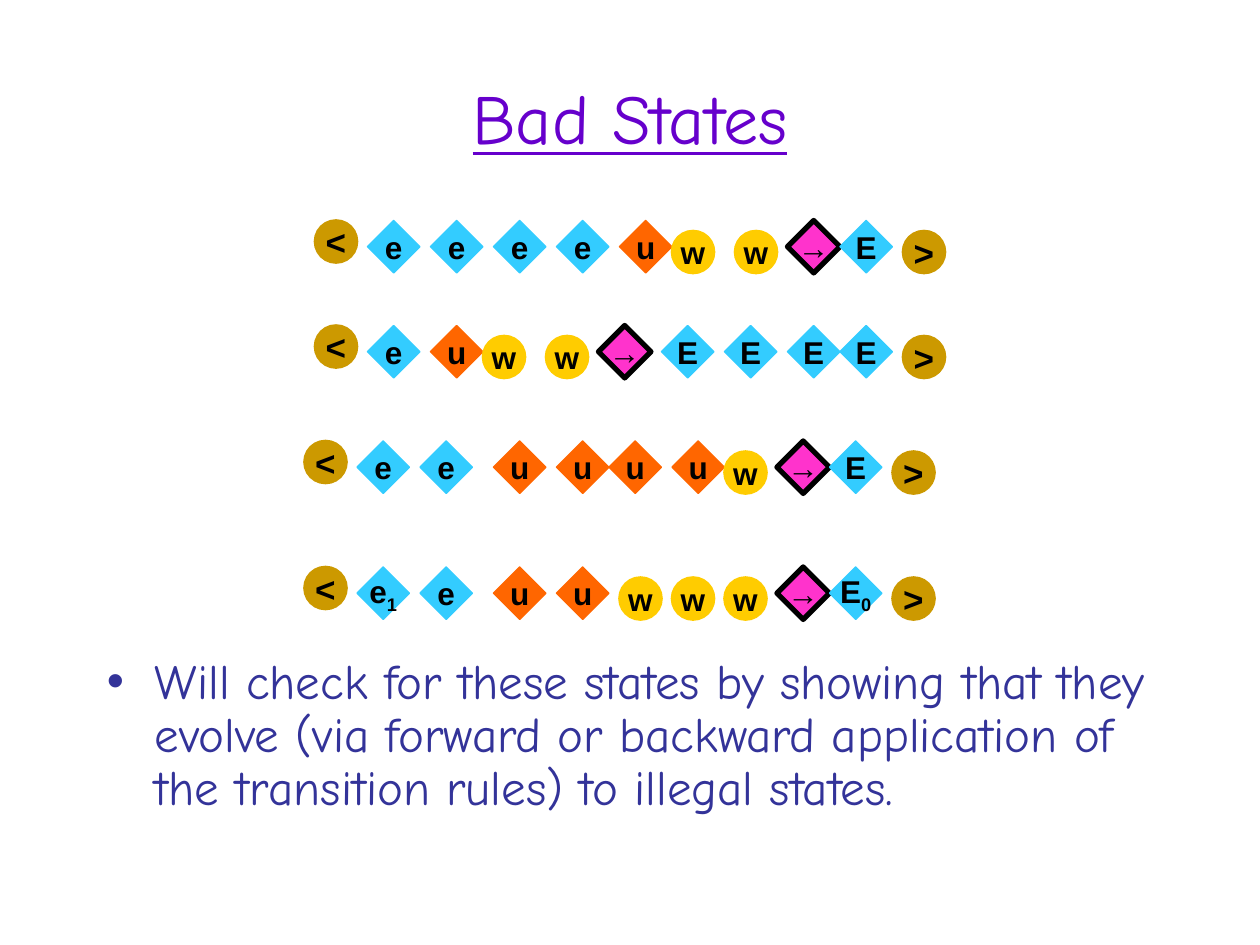
from dataclasses import dataclass

from lxml.etree import SubElement
from pptx import Presentation
from pptx.dml.color import RGBColor
from pptx.enum.shapes import MSO_SHAPE
from pptx.enum.text import MSO_ANCHOR, PP_ALIGN
from pptx.oxml.ns import qn
from pptx.util import Inches, Pt


@dataclass(frozen=True)
class Theme:
    heading_font: str = "Comic Neue"
    symbol_font: str = "Arial"
    title_color: str = "6600CC"
    body_color: str = "333399"
    symbol_color: str = "000000"
    cyan: str = "33CCFF"
    orange: str = "FF6600"
    yellow: str = "FFCC00"
    gold: str = "CC9900"
    pink: str = "FF33CC"
    title_size: int = 40
    body_size: int = 28
    symbol_size: int = 18
    bracket_size: int = 20


@dataclass(frozen=True)
class Token:
    outline: int
    fill: str
    line: str
    line_width: float
    size: int
    drop: int = 0  # grid units below the top of the row
    bold: bool = True


THEME = Theme()
SLIDE_WIDTH, SLIDE_HEIGHT = Inches(10), Inches(7.5)
UNIT = SLIDE_WIDTH / 120  # the slide is a grid of 120 columns and 90 rows
SPAN = {MSO_SHAPE.DIAMOND: 5, MSO_SHAPE.OVAL: 4}  # grid units


def diamond(color):
    return Token(MSO_SHAPE.DIAMOND, color, color, 0.75, THEME.symbol_size)


def circle(color, size, drop):
    return Token(MSO_SHAPE.OVAL, color, color, 1.5, size, drop)


TOKENS = {
    "<": circle(THEME.gold, THEME.bracket_size, 0),
    ">": circle(THEME.gold, THEME.bracket_size, 1),
    "w": circle(THEME.yellow, THEME.symbol_size, 1),
    "e": diamond(THEME.cyan),
    "E": diamond(THEME.cyan),
    "u": diamond(THEME.orange),
    "→": Token(MSO_SHAPE.DIAMOND, THEME.pink, THEME.symbol_color, 3,
               THEME.symbol_size, bold=False),
}

# Each state: grid row, symbols in order, and the grid column of each symbol
STATES = [
    (21, "< e e e e u w w → E >", [30, 35, 41, 47, 53, 59, 64, 70, 75, 80, 86]),
    (31, "< e u w w → E E E E >", [30, 35, 41, 46, 52, 57, 63, 69, 75, 80, 86]),
    (42, "< e e u u u u w → E >", [29, 34, 40, 47, 53, 58, 64, 69, 74, 79, 85]),
    (54, "< e1 e u u w w w → E0 >", [29, 34, 40, 47, 53, 59, 64, 69, 74, 79, 85]),
]


def grid(*units):
    return [round(unit * UNIT) for unit in units]


def add_run(paragraph, text, font, size, color, bold=False, underline=False):
    run = paragraph.add_run()
    run.text = text
    run.font.name = font
    run.font.size = Pt(size)
    run.font.bold = bold
    run.font.underline = underline
    run.font.color.rgb = RGBColor.from_string(color)
    return run


def add_text_box(slide, column, row, width, height, anchor):
    frame = slide.shapes.add_textbox(*grid(column, row, width, height)).text_frame
    frame.word_wrap = True
    frame.vertical_anchor = anchor
    return frame.paragraphs[0]


def add_title(slide, text):
    paragraph = add_text_box(slide, 6, 3.6, 108, 15, MSO_ANCHOR.MIDDLE)
    paragraph.alignment = PP_ALIGN.CENTER
    add_run(paragraph, text, THEME.heading_font, THEME.title_size,
            THEME.title_color, underline=True)


def add_bullet(slide, text):
    paragraph = add_text_box(slide, 9, 62, 104, 21.4, MSO_ANCHOR.TOP)
    paragraph.line_spacing = 0.9
    paragraph.space_before = Pt(7)
    add_run(paragraph, text, THEME.heading_font, THEME.body_size, THEME.body_color)

    # Hanging bullet
    indent = Inches(0.38)
    properties = paragraph._p.get_or_add_pPr()
    properties.set("marL", str(indent))
    properties.set("indent", str(-indent))
    bullet_color = SubElement(properties, qn("a:buClr"))
    SubElement(bullet_color, qn("a:srgbClr"), val=THEME.body_color)
    SubElement(properties, qn("a:buFont"), typeface=THEME.symbol_font)
    SubElement(properties, qn("a:buChar"), char="•")


def add_token(slide, label, column, row):
    symbol, subscript = label[0], label[1:]
    token = TOKENS[symbol]
    span = SPAN[token.outline]
    shape = slide.shapes.add_shape(
        token.outline, *grid(column, row + token.drop, span, span))
    shape.shadow.inherit = False
    shape.fill.solid()
    shape.fill.fore_color.rgb = RGBColor.from_string(token.fill)
    shape.line.color.rgb = RGBColor.from_string(token.line)
    shape.line.width = Pt(token.line_width)

    frame = shape.text_frame
    frame.word_wrap = False
    frame.vertical_anchor = MSO_ANCHOR.MIDDLE
    paragraph = frame.paragraphs[0]
    paragraph.alignment = PP_ALIGN.CENTER
    style = (THEME.symbol_font, token.size, THEME.symbol_color, token.bold)
    add_run(paragraph, symbol, *style)
    if subscript:
        run = add_run(paragraph, subscript, *style)
        run._r.get_or_add_rPr().set("baseline", "-25000")


def add_state(slide, row, symbols, columns):
    for label, column in zip(symbols.split(), columns):
        add_token(slide, label, column, row)


def main():
    presentation = Presentation()
    presentation.slide_width = SLIDE_WIDTH
    presentation.slide_height = SLIDE_HEIGHT
    slide = presentation.slides.add_slide(presentation.slide_layouts[6])

    # Heading and explanation
    add_title(slide, "Bad States")
    add_bullet(slide, "Will check for these states by showing that they evolve "
                      "(via forward or backward application of the transition "
                      "rules) to illegal states.")

    # Rows of symbols, one per state
    for row, symbols, columns in STATES:
        add_state(slide, row, symbols, columns)

    presentation.save("out.pptx")


if __name__ == "__main__":
    main()
